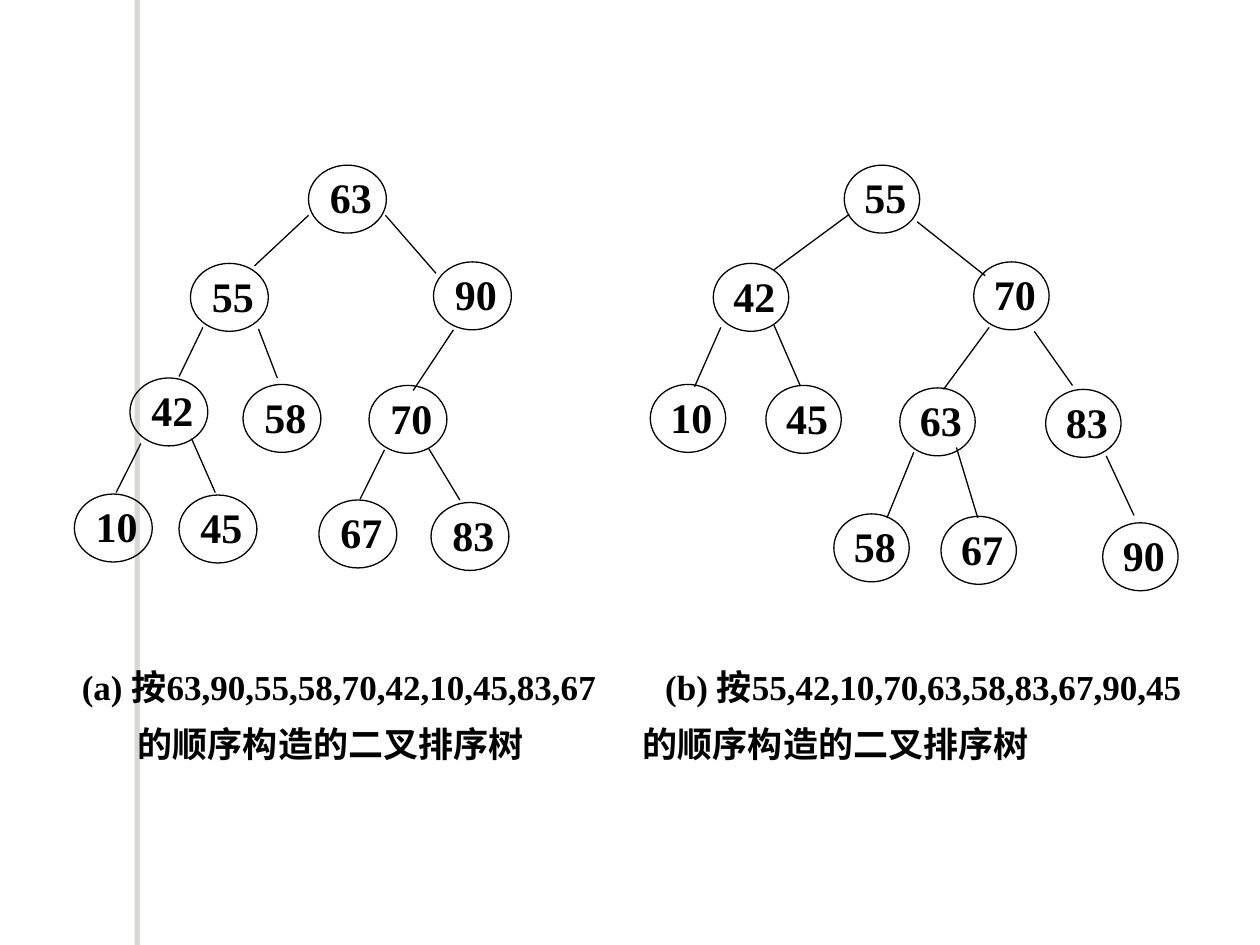
from lxml.etree import SubElement as Sub
from pptx import Presentation as Deck
from pptx.dml.color import RGBColor as Rgb
from pptx.enum.shapes import MSO_CONNECTOR as Link, MSO_SHAPE as Form
from pptx.enum.text import MSO_ANCHOR as Anchor, PP_ALIGN as Align
from pptx.oxml.ns import qn
from pptx.util import Cm, Pt

INK = "000000"
PAPER = "FFFFFF"

TREES = [
    {
        "wide": 1.57,
        "nodes": [
            (63, 6.22, 3.33), (55, 3.84, 5.31), (90, 8.74, 5.28),
            (42, 2.62, 7.62), (58, 4.9, 7.75), (70, 7.44, 7.77),
            (10, 1.5, 9.96), (45, 3.61, 9.98), (67, 6.43, 10.08),
            (83, 8.69, 10.13),
        ],
        "edges": [
            (6.22, 4.34, 5.13, 5.36), (7.77, 4.34, 8.79, 5.51),
            (4.09, 6.6, 3.61, 7.59), (5.21, 6.63, 5.59, 7.62),
            (9.14, 6.65, 8.33, 7.87), (2.84, 8.94, 2.34, 9.93),
            (3.86, 8.84, 4.34, 9.93), (7.75, 9.07, 7.26, 10.06),
            (8.64, 9.04, 9.27, 10.08),
        ],
    },
    {
        "wide": 1.52,
        "nodes": [
            (55, 17.02, 3.33), (42, 14.38, 5.31), (70, 19.63, 5.28),
            (10, 13.11, 7.75), (45, 15.44, 7.77), (63, 18.14, 7.82),
            (83, 21.08, 7.85), (58, 16.81, 10.36), (67, 18.97, 10.41),
            (90, 22.23, 10.54),
        ],
        "edges": [
            (17.12, 4.32, 15.6, 5.44), (18.49, 4.47, 19.86, 5.56),
            (14.53, 6.6, 14, 7.8), (15.6, 6.55, 16.13, 7.77),
            (19.94, 6.6, 19.02, 7.85), (20.85, 6.68, 21.62, 7.77),
            (18.42, 9.12, 17.88, 10.44), (19.28, 9.02, 19.71, 10.44),
            (22.3, 9.19, 22.86, 10.39),
        ],
    },
]

LINES = [
    ("(a) 按63,90,55,58,70,42,10,45,83,67\t(b) 按55,42,10,70,63,58,83,67,90,45",
     [11.76]),
    ("\t的顺序构造的二叉排序树\t的顺序构造的二叉排序树", [1.13, 11.31]),
]


def tint(code):
    return Rgb.from_string(code)


def write(para, text, size=24, color=INK, face="Times New Roman", bold=True,
          align=Align.CENTER, space=None, tabs=()):
    para.alignment = align
    if space:
        para.line_spacing = space
    if tabs:
        stops = Sub(para._p.get_or_add_pPr(), qn("a:tabLst"))
        for pos in tabs:
            Sub(stops, qn("a:tab"), pos=str(int(Cm(pos))), algn="l")
    run = para.add_run()
    run.text = text
    font = run.font
    font.name, font.size, font.bold = face, Pt(size), bold
    font.color.rgb = tint(color)


class Page:
    def __init__(self, deck, ink=INK, width=0.75):
        self.shapes = deck.slides.add_slide(deck.slide_layouts[6]).shapes
        self.ink = ink
        self.width = width

    def bar(self, x, y, w, h):
        box = self.shapes.add_shape(Form.RECTANGLE, Cm(x), Cm(y), Cm(w), Cm(h))
        box.fill.solid()
        box.fill.fore_color.rgb = tint(PAPER)
        box.line.fill.background()
        fx = Sub(box._element.spPr, qn("a:effectLst"))
        cast = Sub(fx, qn("a:outerShdw"), dist=str(int(Pt(3))),
                   dir="10800000", algn="ctr", rotWithShape="0")
        shade = Sub(cast, qn("a:srgbClr"), val="706B5F")
        Sub(shade, qn("a:alpha"), val="25000")

    def node(self, key, x, y, w, h=1.37):
        oval = self.shapes.add_shape(Form.OVAL, Cm(x), Cm(y), Cm(w), Cm(h))
        oval.shadow.inherit = False
        oval.fill.background()
        oval.line.color.rgb = tint(self.ink)
        oval.line.width = Pt(self.width)
        frame = oval.text_frame
        frame.word_wrap = False
        frame.vertical_anchor = Anchor.MIDDLE
        frame.margin_left, frame.margin_right = Cm(0.14), 0
        frame.margin_top, frame.margin_bottom = 0, Cm(0.08)
        write(frame.paragraphs[0], str(key))

    def edge(self, *ends):
        line = self.shapes.add_connector(Link.STRAIGHT, *map(Cm, ends))
        line.line.color.rgb = tint(self.ink)
        line.line.width = Pt(self.width)
        Sub(line._element.spPr, qn("a:effectLst"))

    def note(self, lines, x, y, w, h):
        frame = self.shapes.add_textbox(Cm(x), Cm(y), Cm(w), Cm(h)).text_frame
        frame.word_wrap = True
        frame.margin_left = frame.margin_right = Cm(0.15)
        frame.margin_top = frame.margin_bottom = 0
        for i, (text, tabs) in enumerate(lines):
            para = frame.add_paragraph() if i else frame.paragraphs[0]
            write(para, text, size=20, align=Align.JUSTIFY, space=1.35, tabs=tabs)


def main():
    deck = Deck()
    deck.slide_width, deck.slide_height = Cm(25.4), Cm(19.05)
    page = Page(deck)
    page.bar(2.82, 0, 0.2, 19.05)
    page.note(LINES, 1.5, 13.13, 23.01, 2.39)
    for tree in TREES:
        for node in tree["nodes"]:
            page.node(*node, tree["wide"])
        for edge in tree["edges"]:
            page.edge(*edge)
    deck.save("out.pptx")


if __name__ == "__main__":
    main()
